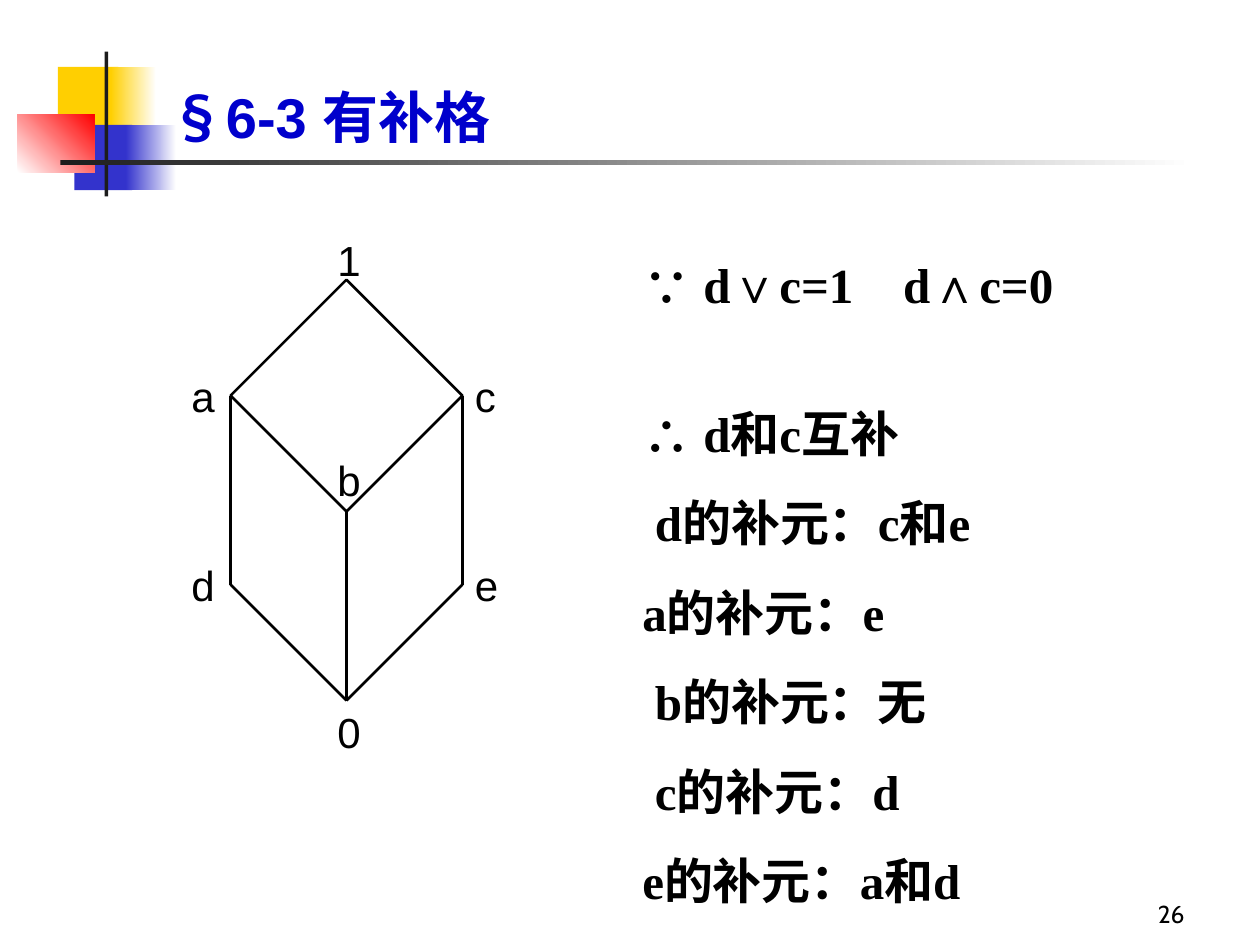
import pptx
import pptx.dml.color
import pptx.enum.shapes
import pptx.enum.text
import pptx.oxml.ns
import pptx.util
import lxml.etree

Inches = pptx.util.Inches
Pt = pptx.util.Pt
SHAPES = pptx.enum.shapes.MSO_SHAPE
ANCHORS = pptx.enum.text.MSO_ANCHOR
ALIGNS = pptx.enum.text.PP_ALIGN
SERIF, SANS, CJK = "Times New Roman", "Arial", "Noto Sans CJK SC"


def rgb(value):
    """Turn a hex string into a colour."""
    return pptx.dml.color.RGBColor.from_string(value)


def add_child(parent, tag, **attributes):
    """Append a drawing element to its parent."""
    return lxml.etree.SubElement(parent, pptx.oxml.ns.qn(tag), **attributes)


def add_bar(page, left, top, width, height, start, end=None, angle=0):
    """Add a borderless rectangle with a solid or two-colour fill."""
    bar = page.shapes.add_shape(
        SHAPES.RECTANGLE, Inches(left), Inches(top), Inches(width), Inches(height))
    bar.shadow.inherit = False
    bar.line.fill.background()
    if end is None:
        bar.fill.solid()
        bar.fill.fore_color.rgb = rgb(start)
        return
    bar.fill.gradient()
    bar.fill.gradient_angle = angle
    for stop, color, position in zip(bar.fill.gradient_stops, (start, end), (0, 1)):
        stop.color.rgb = rgb(color)
        stop.position = position


def add_text_box(shapes, left, top, width, height, anchor=ANCHORS.TOP):
    """Add an empty wrapping text box and return its frame."""
    box = shapes.add_textbox(Inches(left), Inches(top), Inches(width), Inches(height))
    box.text_frame.word_wrap = True
    box.text_frame.vertical_anchor = anchor
    return box.text_frame


def add_spans(para, spans, size, color="000000", bold=False):
    """Add (text, font) spans to a paragraph."""
    for text, font in spans:
        span = para.add_run()
        span.text = text
        span.font.size = Pt(size)
        span.font.bold = bold
        span.font.color.rgb = rgb(color)
        span.font.name = font
        add_child(span.font._element, "a:ea", typeface=CJK)


def add_ornament(page, left, top):
    """Draw the coloured blocks and rules behind the title."""
    add_bar(page, left + 0.32, top + 0.12, 0.48, 0.52, "FFCF01")
    add_bar(page, left + 0.74, top + 0.12, 0.36, 0.52, "FFCF01", "FFFFFF")
    add_bar(page, left + 0.45, top + 0.58, 0.46, 0.52, "3333CC")
    add_bar(page, left + 0.86, top + 0.58, 0.4, 0.52, "3333CC", "FFFFFF")
    add_bar(page, left, top + 0.5, 0.61, 0.46, "FFFFFF", "FF0000", 45)
    add_bar(page, left + 0.69, top, 0.03, 1.15, "1C1C1C")
    add_bar(page, left + 0.34, top + 0.86, 9, 0.04, "1C1C1C", "FFFFFF")


def add_title(page, left, top, width, height):
    """Write the section title."""
    frame = add_text_box(page.shapes, left, top, width, height, ANCHORS.BOTTOM)
    spans = [("§", CJK), ("6-3 ", SANS), ("有补格", CJK)]
    add_spans(frame.paragraphs[0], spans, 32, "0000CC", True)


def add_lattice(page, left, top, half=0.92, drop=1.5):
    """Draw the lattice diagram with its labelled elements."""
    group = page.shapes.add_group_shape()
    right, middle = left + 2 * half, left + half
    points = {
        "a": (left, top + half), "b": (middle, top + 2 * half), "c": (right, top + half),
        "d": (left, top + half + drop), "e": (right, top + half + drop),
        "0": (middle, top + 2 * half + drop),
    }
    diamond = group.shapes.add_shape(
        SHAPES.DIAMOND, Inches(left), Inches(top), Inches(2 * half), Inches(2 * half))
    diamond.shadow.inherit = False
    diamond.fill.background()
    edges = [diamond]
    for start, end in ("b0", "ad", "ce", "0e", "0d"):
        ends = [Inches(value) for value in points[start] + points[end]]
        edge = group.shapes.add_connector(pptx.enum.shapes.MSO_CONNECTOR.STRAIGHT, *ends)
        add_child(edge._element.spPr, "a:effectLst")
        edges.append(edge)
    for edge in edges:
        edge.line.color.rgb = rgb("000000")
        edge.line.width = Pt(1.5)
    labels = {
        "1": (0.75, -0.41), "a": (-0.41, 0.67), "b": (0.75, 1.34), "c": (1.84, 0.67),
        "d": (-0.41, 2.17), "0": (0.75, 3.34), "e": (1.84, 2.17),
    }
    for name, (across, down) in labels.items():
        frame = add_text_box(group.shapes, left + across, top + down, 0.5, 0.5)
        add_spans(frame.paragraphs[0], [(name, SANS)], 24)


def add_conclusions(page, left, top, width, height):
    """List the complements of each lattice element."""
    frame = add_text_box(page.shapes, left, top, width, height)
    first = frame.paragraphs[0]
    first.space_after = Pt(34)
    tabs = add_child(first._p.get_or_add_pPr(), "a:tabLst")
    add_child(tabs, "a:tab", pos=str(Inches(2.07)), algn="l")
    spans = [("∵ d", SERIF), ("∨", SANS), ("c=1\td", SERIF), ("∧", SANS), ("c=0", SERIF)]
    add_spans(first, spans, 28, bold=True)
    lines = [
        ("∴ d和c互补", 0), ("d的补元：c和e", 0.1), ("a的补元：e", 0),
        ("b的补元：无", 0.1), ("c的补元：d", 0.1), ("e的补元：a和d", 0),
    ]
    for text, indent in lines:
        para = frame.add_paragraph()
        para.space_before = Pt(17.5)
        para._p.get_or_add_pPr().set("marL", str(Inches(indent)))
        add_spans(para, [(text, SERIF)], 28, bold=True)


def add_page_number(page, left, top, width, height):
    """Write the page number."""
    frame = add_text_box(page.shapes, left, top, width, height, ANCHORS.BOTTOM)
    frame.paragraphs[0].alignment = ALIGNS.RIGHT
    add_spans(frame.paragraphs[0], [("26", "Cabin")], 14)


def main():
    """Build and save the deck."""
    deck = pptx.Presentation()
    deck.slide_width, deck.slide_height = Inches(10), Inches(7.5)
    page = deck.slides.add_slide(deck.slide_layouts[6])
    add_ornament(page, 0.14, 0.41)
    add_page_number(page, 7.42, 6.92, 2.08, 0.5)
    add_lattice(page, 1.83, 2.22)
    add_conclusions(page, 5, 1.97, 4, 4.83)
    add_title(page, 1.25, 0, 8.52, 1.24)
    deck.save("out.pptx")


if __name__ == "__main__":
    main()
